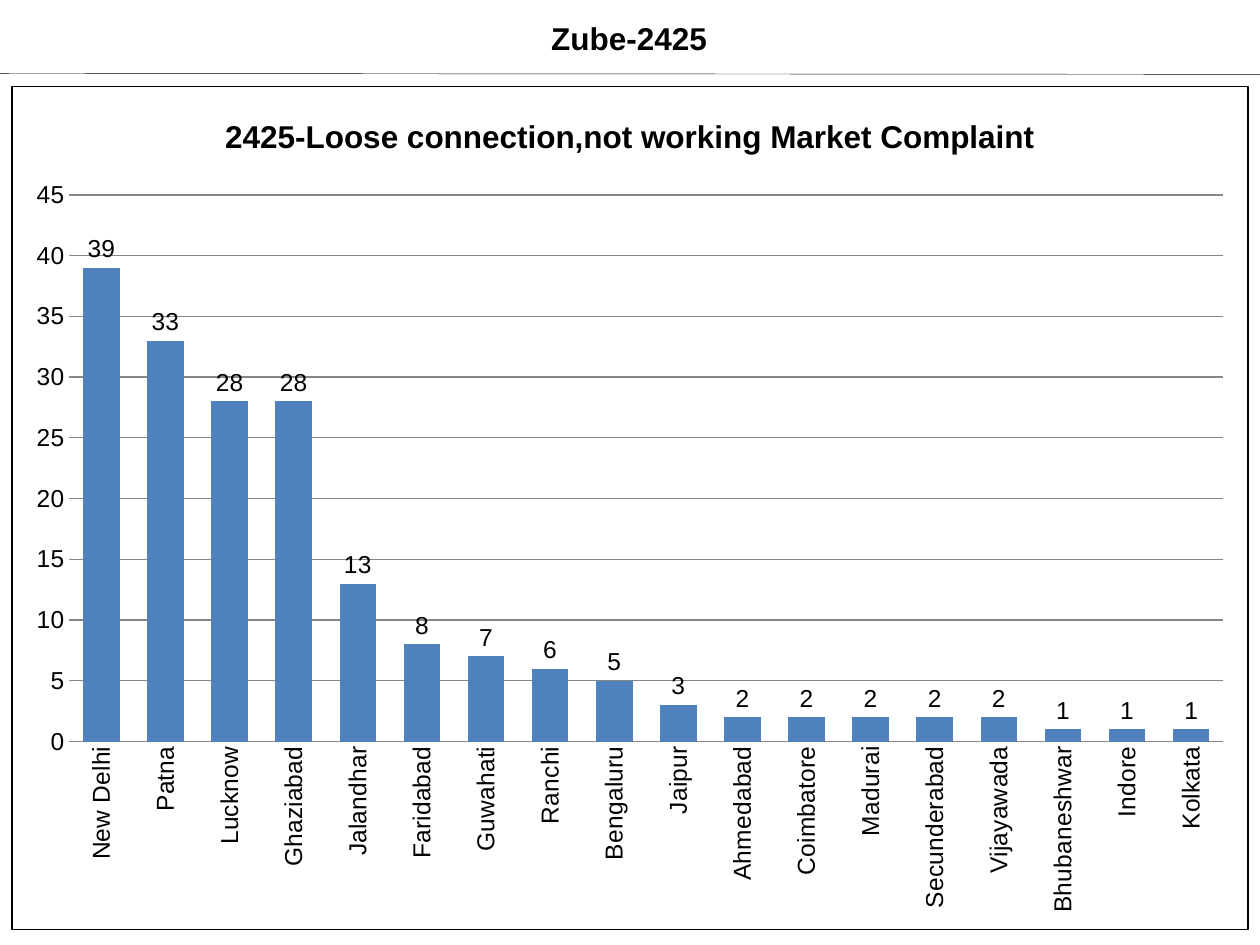
from lxml import etree
from pptx import Presentation
from pptx.chart.data import CategoryChartData
from pptx.dml.color import RGBColor
from pptx.enum.chart import XL_CHART_TYPE, XL_LABEL_POSITION, XL_TICK_MARK
from pptx.enum.shapes import MSO_CONNECTOR
from pptx.enum.text import MSO_ANCHOR, MSO_AUTO_SIZE, PP_ALIGN
from pptx.oxml import parse_xml
from pptx.oxml.ns import nsdecls, qn
from pptx.util import Pt

FONT = "Arial"
BLACK, BAR_BLUE, GRID_GREY = "000000", "4F81BD", "868686"
COMPLAINTS = {
    "New Delhi": 39, "Patna": 33, "Lucknow": 28, "Ghaziabad": 28,
    "Jalandhar": 13, "Faridabad": 8, "Guwahati": 7, "Ranchi": 6,
    "Bengaluru": 5, "Jaipur": 3, "Ahmedabad": 2, "Coimbatore": 2,
    "Madurai": 2, "Secunderabad": 2, "Vijayawada": 2,
    "Bhubaneshwar": 1, "Indore": 1, "Kolkata": 1,
}


def color(hex_code):
    return RGBColor.from_string(hex_code)


def set_font(font, size, bold=False):
    font.name, font.size, font.bold = FONT, Pt(size), bold
    font.color.rgb = color(BLACK)


def set_line(line, hex_code, width):
    line.color.rgb = color(hex_code)
    line.width = Pt(width)


def add_header(slide, left, top, width, height):
    # Rule along the bottom of the header
    rule = slide.shapes.add_connector(
        MSO_CONNECTOR.STRAIGHT, Pt(left), Pt(top + height),
        Pt(left + width), Pt(top + height + 0.5))
    set_line(rule.line, BLACK, 0.25)
    etree.SubElement(rule.element.spPr, qn("a:effectLst"))

    # Centred product heading
    heading = slide.shapes.title
    heading_width = 107
    heading.left = Pt(left + (width - heading_width) / 2 - 0.5)
    heading.top, heading.width, heading.height = Pt(top + 7.2), Pt(heading_width), Pt(29)
    frame = heading.text_frame
    frame.text = "Zube-2425"
    frame.word_wrap = False
    frame.auto_size = MSO_AUTO_SIZE.SHAPE_TO_FIT_TEXT
    frame.vertical_anchor = MSO_ANCHOR.TOP
    paragraph = frame.paragraphs[0]
    paragraph.alignment = PP_ALIGN.CENTER
    set_font(paragraph.font, 18, bold=True)


def add_complaint_chart(slide, left, top, width, height):
    complaint_data = CategoryChartData()
    complaint_data.categories = list(COMPLAINTS)
    complaint_data.add_series("Series 1", list(COMPLAINTS.values()))
    chart = slide.shapes.add_chart(
        XL_CHART_TYPE.COLUMN_CLUSTERED, Pt(left), Pt(top), Pt(width), Pt(height),
        complaint_data).chart
    set_font(chart.font, 14)
    chart.has_legend = False

    # Chart title
    chart.has_title = True
    title = chart.chart_title
    title.include_in_layout = False
    title.text_frame.text = "2425-Loose connection,not working Market Complaint"
    set_font(title.text_frame.paragraphs[0].font, 18, bold=True)

    # Columns and their values
    plot = chart.plots[0]
    plot.gap_width, plot.overlap = 75, -25
    plot.vary_by_categories = False
    columns = plot.series[0]
    columns.format.fill.solid()
    columns.format.fill.fore_color.rgb = color(BAR_BLUE)
    plot.has_data_labels = True
    labels = plot.data_labels
    labels.show_value = True
    labels.position = XL_LABEL_POSITION.OUTSIDE_END
    set_font(labels.font, 14)

    # Axes
    cities, counts = chart.category_axis, chart.value_axis
    for axis in (cities, counts):
        axis.major_tick_mark = axis.minor_tick_mark = XL_TICK_MARK.NONE
        set_font(axis.tick_labels.font, 14)
    set_line(cities.format.line, GRID_GREY, 0.75)
    city_text = cities._element.find(qn("c:txPr")).find(qn("a:bodyPr"))
    city_text.set("rot", "-5400000")
    city_text.set("vert", "horz")
    counts.minimum_scale, counts.maximum_scale, counts.major_unit = 0, 45, 5
    counts.format.line.fill.background()
    counts.has_major_gridlines = True
    set_line(counts.major_gridlines.format.line, GRID_GREY, 0.75)

    # Border around the chart
    border = parse_xml(
        f'<c:spPr {nsdecls("c", "a")}><a:noFill/><a:ln w="{Pt(0.75)}"><a:solidFill>'
        f'<a:srgbClr val="{BLACK}"/></a:solidFill></a:ln></c:spPr>')
    chart._chartSpace.find(qn("c:chart")).addnext(border)


def main():
    presentation = Presentation()
    presentation.slide_width, presentation.slide_height = Pt(720), Pt(540)
    slide = presentation.slides.add_slide(presentation.slide_layouts[5])
    add_header(slide, 0, 0, 720, 42)
    add_complaint_chart(slide, 6.5, 49, 707, 482.5)
    presentation.save("out.pptx")


if __name__ == "__main__":
    main()
